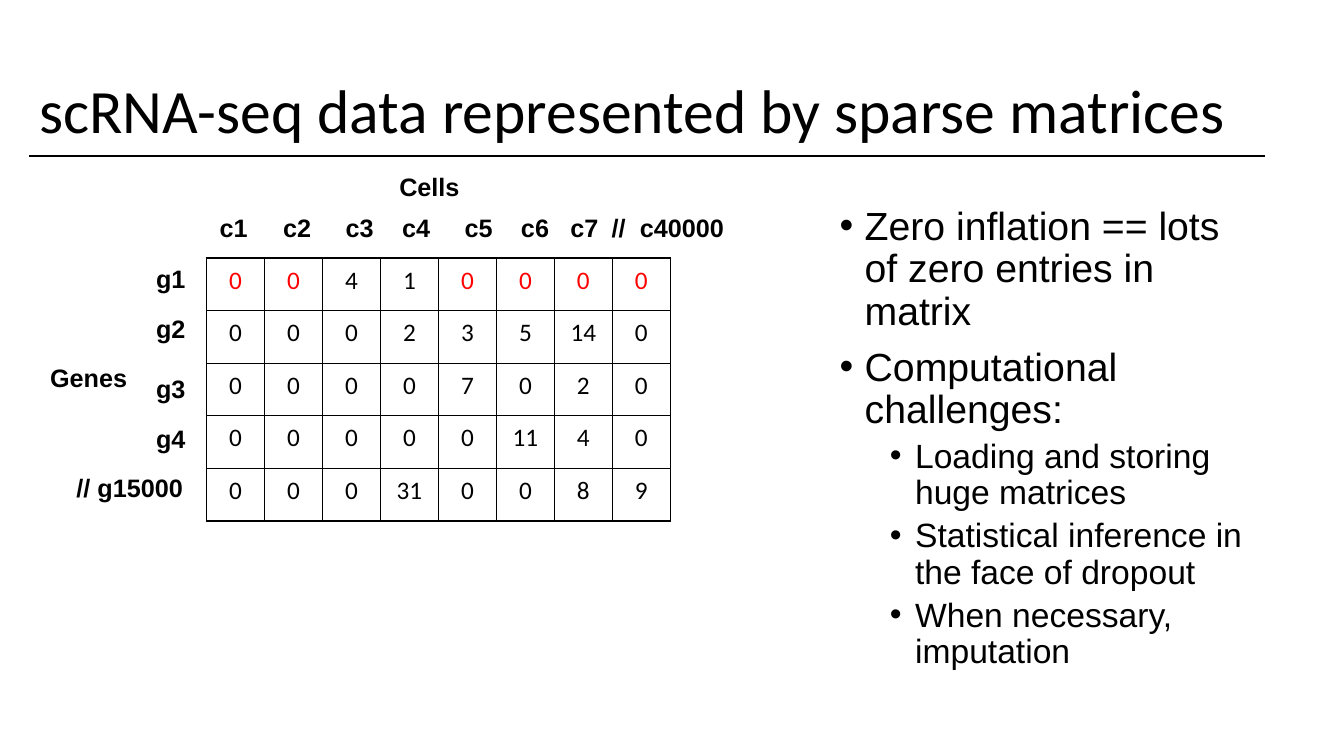
import dataclasses
import typing

import lxml.etree
import pptx
import pptx.dml.color
import pptx.enum.shapes
import pptx.enum.text
import pptx.oxml.ns
import pptx.util

BLACK = pptx.dml.color.RGBColor(0x00, 0x00, 0x00)
RED = pptx.dml.color.RGBColor(0xFF, 0x00, 0x00)
WIDTH, HEIGHT = pptx.util.Inches(13.33), pptx.util.Inches(7.5)
COLS, ROWS = 40, 30
LEFT = pptx.enum.text.PP_ALIGN.LEFT
MID = pptx.enum.text.PP_ALIGN.CENTER
FACE = {"name": "Arial", "size": pptx.util.Pt(18), "bold": True}
CALIBRI = {"name": "Calibri", "size": pptx.util.Pt(18)}
TITLE = {"name": "Calibri", "size": pptx.util.Pt(44)}
COUNTS = [
    [0, 0, 4, 1, 0, 0, 0, 0],
    [0, 0, 0, 2, 3, 5, 14, 0],
    [0, 0, 0, 0, 7, 0, 2, 0],
    [0, 0, 0, 0, 0, 11, 4, 0],
    [0, 0, 0, 31, 0, 0, 8, 9],
]
HEADS = ["c1", "c2", "c3", "c4", "c5", "c6", "c7", "//", "c40000"]
TABS = [1.89, 3.75, 5.43, 7.29, 8.97, 10.44, 11.67, 12.51]


@dataclasses.dataclass
class Label:
    text: str
    col: float
    row: float
    wide: float
    align: typing.Any = LEFT


@dataclasses.dataclass
class Point:
    text: str
    level: int = 0


LABELS = [
    Label("g1", 4.35, 10.24, 1.8),
    Label("g2", 4.35, 12.24, 1.8),
    Label("g3", 4.35, 14.6, 1.8),
    Label("g4", 4.35, 16.6, 1.8),
    Label("// g15000", 1.98, 18.56, 4.47),
    Label("Cells", 11.07, 6.6, 3.42, MID),
    Label("Genes", 0.93, 14.2, 3.42, MID),
]
POINTS = [
    Point("Zero inflation == lots of zero entries in matrix"),
    Point("Computational challenges:"),
    Point("Loading and storing huge matrices", 1),
    Point("Statistical inference in the face of dropout", 1),
    Point("When necessary, imputation", 1),
]


def across(cols: float) -> int:
    return round(WIDTH * cols / COLS)


def down(rows: float) -> int:
    return round(HEIGHT * rows / ROWS)


def place(col: float, row: float, wide: float, high: float) -> tuple[int, ...]:
    return across(col), down(row), across(wide), down(high)


def adjust(item: typing.Any, values: dict[str, typing.Any]) -> None:
    for name, value in values.items():
        setattr(item, name, value)


def style(para: typing.Any, face: dict[str, typing.Any], color=BLACK) -> None:
    adjust(para.font, face)
    para.font.color.rgb = color


def child(parent: typing.Any, tag: str, **values: str) -> typing.Any:
    return lxml.etree.SubElement(parent, pptx.oxml.ns.qn(tag), values)


def add_box(slide: typing.Any, *area: float) -> typing.Any:
    frame = slide.shapes.add_textbox(*place(*area)).text_frame
    frame.word_wrap = True
    return frame


def add_label(slide: typing.Any, label: Label) -> typing.Any:
    para = add_box(slide, label.col, label.row, label.wide, 1.6).paragraphs[0]
    adjust(para, {"text": label.text, "alignment": label.align})
    style(para, FACE)
    return para


def add_heads(slide: typing.Any) -> None:
    para = add_label(slide, Label("\t".join(HEADS), 6.24, 8.24, 16.5))
    stops = child(para._p.get_or_add_pPr(), "a:tabLst")
    for tab in TABS:
        child(stops, "a:tab", pos=str(across(tab)), algn="l")


def add_title(slide: typing.Any) -> None:
    frame = add_box(slide, 0.87, 1.6, 38.16, 5.8)
    frame.vertical_anchor = pptx.enum.text.MSO_ANCHOR.MIDDLE
    para = frame.paragraphs[0]
    adjust(para, {"text": "scRNA-seq data represented by sparse matrices",
                  "line_spacing": 0.9})
    style(para, TITLE)


def add_rule(slide: typing.Any) -> None:
    rule = slide.shapes.add_connector(
        pptx.enum.shapes.MSO_CONNECTOR.STRAIGHT,
        across(0.87), down(6.2), across(37.65), down(6.2))
    rule.line.color.rgb = BLACK
    rule.line.width = pptx.util.Pt(1.5)
    child(rule._element.spPr, "a:effectLst")


def border(cell: typing.Any) -> None:
    """Put a thin black line on each side; lines precede the fill in tcPr."""
    props = cell._tc.get_or_add_tcPr()
    for spot, side in enumerate("LRTB"):
        edge = child(props, f"a:ln{side}", w=str(pptx.util.Pt(1)))
        child(child(edge, "a:solidFill"), "a:srgbClr", val=str(BLACK))
        props.insert(spot, edge)


def add_matrix(slide: typing.Any) -> None:
    table = slide.shapes.add_table(
        len(COUNTS), len(COUNTS[0]), *place(6.15, 10.24, 13.8, 10.44)).table
    adjust(table, {"first_row": False, "horz_banding": False})
    side, edge = pptx.util.Inches(0.13), pptx.util.Inches(0.07)
    pad = {"margin_left": side, "margin_right": side,
           "margin_top": edge, "margin_bottom": edge}
    for row, counts in enumerate(COUNTS):
        for col, count in enumerate(counts):
            cell = table.cell(row, col)
            adjust(cell, pad)
            cell.fill.background()
            border(cell)
            para = cell.text_frame.paragraphs[0]
            adjust(para, {"text": str(count), "alignment": MID})
            style(para, CALIBRI, RED if row == 0 and count == 0 else BLACK)


def add_points(slide: typing.Any) -> None:
    frame = add_box(slide, 24.69, 8, 12.99, 19.04)
    for rank, point in enumerate(POINTS):
        para = frame.add_paragraph() if rank else frame.paragraphs[0]
        adjust(para, {"text": point.text, "level": point.level,
                      "line_spacing": 0.9,
                      "space_before": pptx.util.Pt(5 if point.level else 10)})
        style(para, {"name": "Arial",
                     "size": pptx.util.Pt(24 if point.level else 28)})
        props = para._p.get_or_add_pPr()
        props.set("marL", str(across(0.75 + 1.5 * point.level)))
        props.set("indent", str(-across(0.75)))
        child(props, "a:buFont", typeface="Arial")
        child(props, "a:buChar", char="•")


def main() -> None:
    deck = pptx.Presentation()
    adjust(deck, {"slide_width": WIDTH, "slide_height": HEIGHT})
    slide = deck.slides.add_slide(deck.slide_layouts[6])
    add_rule(slide)
    add_title(slide)
    add_matrix(slide)
    add_heads(slide)
    for label in LABELS:
        add_label(slide, label)
    add_points(slide)
    deck.save("out.pptx")


if __name__ == "__main__":
    main()
